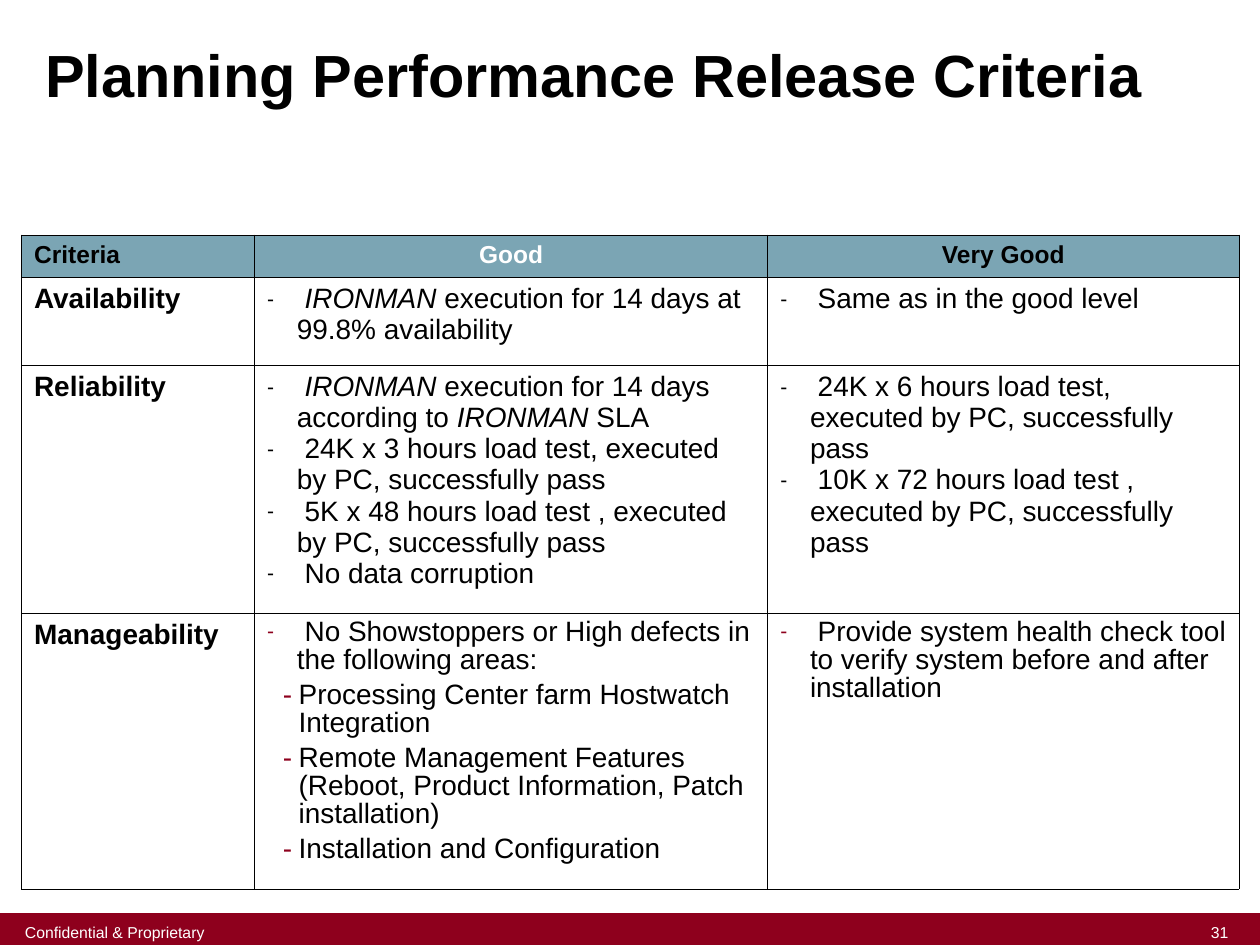
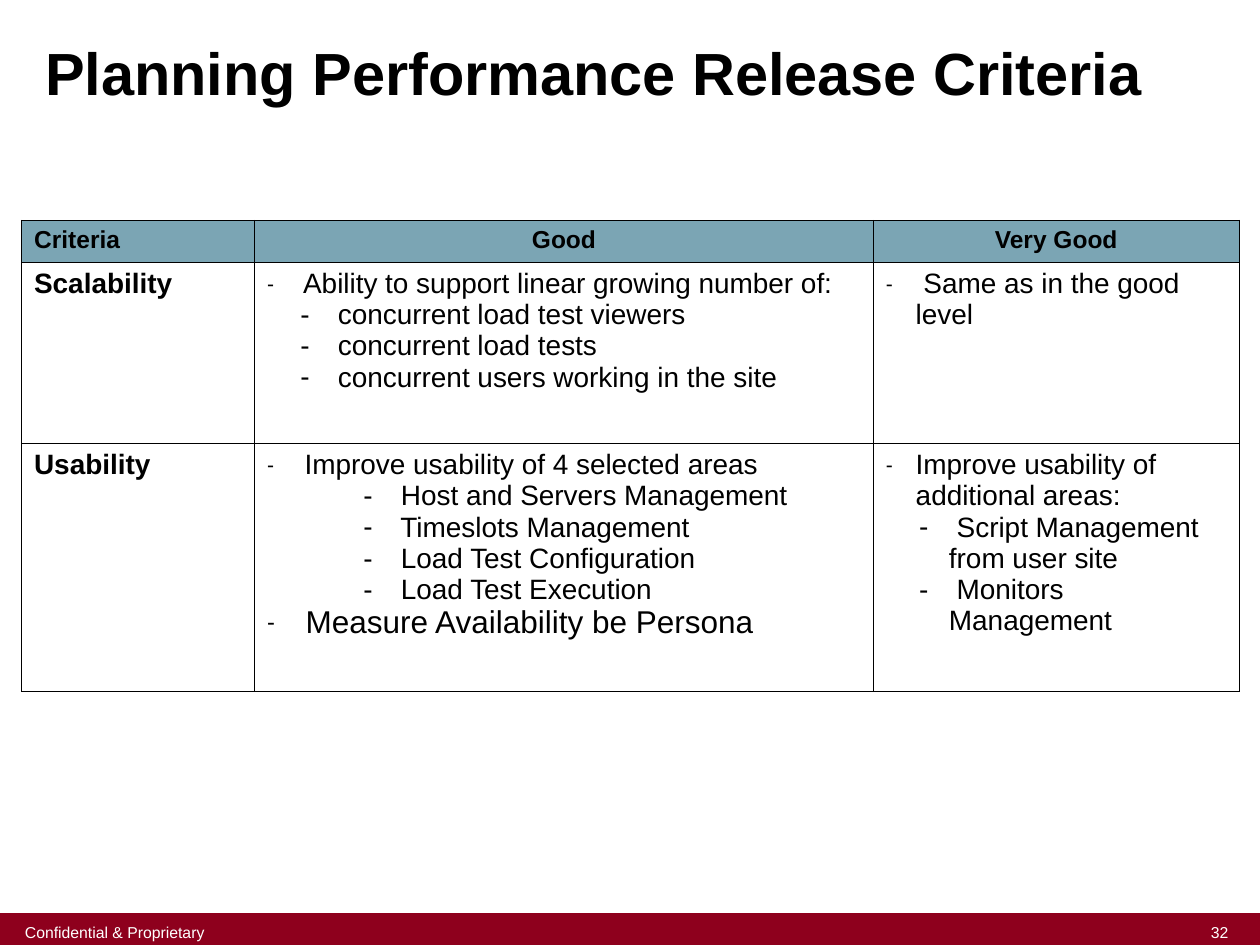
from dataclasses import dataclass

from lxml.etree import SubElement
from pptx import Presentation
from pptx.dml.color import RGBColor
from pptx.enum.shapes import MSO_SHAPE
from pptx.enum.text import MSO_ANCHOR, PP_ALIGN
from pptx.oxml.ns import qn
from pptx.util import Pt

FONT = "Arial"
COLORS = {
    "black": "000000",
    "white": "FFFFFF",
    "maroon": "8E001D",
    "header": "7BA5B4",
}
SLIDE_WIDTH, SLIDE_HEIGHT = 720, 540
BAND_HEIGHT = 18
TITLE = "Planning Performance Release Criteria"
TABLE_LEFT = 12.3
HEADER_HEIGHT = 24


@dataclass(frozen=True)
class BulletStyle:
    margin: float = 17
    hanging: float = 17
    level: int = 0
    percent: int = 75
    color: str = "black"
    size: float = 16
    line_spacing: float = 1.0
    space_before: float = 0


MAIN = BulletStyle()
LARGE = BulletStyle(size=18)
SUB = BulletStyle(margin=36, level=1, percent=100)
DEEP = BulletStyle(margin=72, level=2, percent=100)
TIGHT = BulletStyle(color="maroon", line_spacing=0.9, space_before=4)
TIGHT_SUB = BulletStyle(18, 9, 1, 100, "maroon", 16, 0.9, 4)


def rgb(name):
    return RGBColor.from_string(COLORS[name])


def add_run(paragraph, text, size, color="black", bold=False, italic=False):
    run = paragraph.add_run()
    run.text = text
    font = run.font
    font.name, font.size = FONT, Pt(size)
    font.bold, font.italic = bold, italic
    font.color.rgb = rgb(color)


def set_bullet(paragraph, style):
    properties = paragraph._p.get_or_add_pPr()
    properties.set("marL", str(Pt(style.margin)))
    properties.set("indent", str(-Pt(style.hanging)))
    color = SubElement(properties, qn("a:buClr"))
    SubElement(color, qn("a:srgbClr"), val=COLORS[style.color])
    SubElement(properties, qn("a:buSzPct"), val=str(style.percent * 1000))
    SubElement(properties, qn("a:buFont"), typeface=FONT)
    SubElement(properties, qn("a:buChar"), char="-")


def fill_bullets(cell, bullets):
    """Write (style, text) bullets; text between asterisks is italic."""
    frame = cell.text_frame
    for index, (style, text) in enumerate(bullets):
        paragraph = frame.add_paragraph() if index else frame.paragraphs[0]
        set_bullet(paragraph, style)
        paragraph.level = style.level
        paragraph.line_spacing = style.line_spacing
        if index:
            paragraph.space_before = Pt(style.space_before)
        for position, part in enumerate(text.split("*")):
            if part:
                add_run(paragraph, part, style.size, italic=position % 2 == 1)


def set_borders(cell):
    properties = cell._tc.get_or_add_tcPr()
    for index, side in enumerate(("lnL", "lnR", "lnT", "lnB")):
        line = properties.makeelement(qn(f"a:{side}"), {"w": str(Pt(0.45))})
        fill = SubElement(line, qn("a:solidFill"))
        SubElement(fill, qn("a:srgbClr"), val=COLORS["black"])
        properties.insert(index, line)


def add_title(slide, top):
    title = slide.shapes.title
    title.left, title.top, title.width, title.height = Pt(18.7), Pt(top), Pt(645), Pt(75)
    frame = title.text_frame
    frame.vertical_anchor = MSO_ANCHOR.TOP
    frame.margin_top = 0
    paragraph = frame.paragraphs[0]
    paragraph.alignment = PP_ALIGN.LEFT
    paragraph.line_spacing = 0.9
    add_run(paragraph, TITLE, 34, bold=True)


def add_footer_text(slide, text, left, top, width, alignment):
    box = slide.shapes.add_textbox(Pt(left), Pt(top), Pt(width), Pt(BAND_HEIGHT))
    frame = box.text_frame
    frame.word_wrap = True
    paragraph = frame.paragraphs[0]
    paragraph.alignment = alignment
    add_run(paragraph, text, 9, "white")


def add_footer(slide, number):
    top = SLIDE_HEIGHT - BAND_HEIGHT
    band = slide.shapes.add_shape(
        MSO_SHAPE.RECTANGLE, 0, Pt(top), Pt(SLIDE_WIDTH), Pt(BAND_HEIGHT)
    )
    band.shadow.inherit = False
    band.fill.solid()
    band.fill.fore_color.rgb = rgb("maroon")
    band.line.color.rgb = rgb("maroon")
    band.line.width = Pt(1)
    add_footer_text(slide, str(number), 679.7, top + 2, 34.6, PP_ALIGN.CENTER)
    add_footer_text(slide, "Confidential & Proprietary", 7.2, top + 2, 125, PP_ALIGN.LEFT)


def add_criteria_table(slide, top, widths, heights, rows, good_color):
    """Add a table whose rows are (criterion, good bullets, very good bullets)."""
    heights = [HEADER_HEIGHT, *heights]
    table = slide.shapes.add_table(
        len(heights), len(widths), Pt(TABLE_LEFT), Pt(top), Pt(sum(widths)), Pt(sum(heights))
    ).table
    table.first_row = table.horz_banding = False
    for column, width in zip(table.columns, widths):
        column.width = Pt(width)
    for row, height in zip(table.rows, heights):
        row.height = Pt(height)

    headings = (("Criteria", "black"), ("Good", good_color), ("Very Good", "black"))
    for index, (heading, color) in enumerate(headings):
        cell = table.cell(0, index)
        cell.fill.solid()
        cell.fill.fore_color.rgb = rgb("header")
        paragraph = cell.text_frame.paragraphs[0]
        paragraph.alignment = PP_ALIGN.CENTER if index else PP_ALIGN.LEFT
        add_run(paragraph, heading, 14, color, bold=True)

    for index, (criterion, *levels) in enumerate(rows, 1):
        add_run(table.cell(index, 0).text_frame.paragraphs[0], criterion, 16, bold=True)
        for column, bullets in enumerate(levels, 1):
            fill_bullets(table.cell(index, column), bullets)
        for cell in table.rows[index].cells:
            cell.fill.background()

    for cell in table.iter_cells():
        set_borders(cell)


def add_criteria_slide(presentation, number, title_top, **table):
    slide = presentation.slides.add_slide(presentation.slide_layouts[5])
    add_footer(slide, number)
    add_criteria_table(slide, **table)
    add_title(slide, title_top)


STABILITY_ROWS = [
    (
        "Availability",
        [(MAIN, " *IRONMAN* execution for 14 days at 99.8% availability")],
        [(MAIN, " Same as in the good level")],
    ),
    (
        "Reliability",
        [
            (MAIN, " *IRONMAN* execution for 14 days according to *IRONMAN* SLA"),
            (MAIN, " 24K x 3 hours load test, executed by PC, successfully pass"),
            (MAIN, " 5K x 48 hours load test , executed by PC, successfully pass"),
            (MAIN, " No data corruption"),
        ],
        [
            (MAIN, " 24K x 6 hours load test, executed by PC, successfully pass"),
            (MAIN, " 10K x 72 hours load test , executed by PC, successfully pass"),
        ],
    ),
    (
        "Manageability",
        [
            (TIGHT, " No Showstoppers or High defects in the following areas:"),
            (TIGHT_SUB, "Processing Center farm Hostwatch Integration"),
            (
                TIGHT_SUB,
                "Remote Management Features (Reboot, Product Information, Patch installation)",
            ),
            (TIGHT_SUB, "Installation and Configuration"),
        ],
        [
            (
                TIGHT,
                " Provide system health check tool to verify system before and after installation",
            )
        ],
    ),
]

GROWTH_ROWS = [
    (
        "Scalability",
        [
            (MAIN, " Ability to support linear growing number of:"),
            (SUB, " concurrent load test viewers"),
            (SUB, " concurrent load tests"),
            (SUB, " concurrent users working in the site"),
        ],
        [(MAIN, " Same as in the good level")],
    ),
    (
        "Usability",
        [
            (MAIN, " Improve usability of 4 selected areas"),
            (DEEP, " Host and Servers Management"),
            (DEEP, " Timeslots Management"),
            (DEEP, " Load Test Configuration"),
            (DEEP, " Load Test Execution"),
            (LARGE, " Measure Availability be Persona"),
        ],
        [
            (MAIN, "Improve usability of additional areas:"),
            (SUB, " Script Management from user site"),
            (SUB, " Monitors Management"),
        ],
    ),
]


def main():
    presentation = Presentation()
    presentation.slide_width = Pt(SLIDE_WIDTH)
    presentation.slide_height = Pt(SLIDE_HEIGHT)
    add_criteria_slide(
        presentation, 31, 26.4, top=134.3, widths=[133.2, 293.2, 269.4],
        heights=[50.3, 141.7, 157.7], rows=STABILITY_ROWS, good_color="white",
    )
    add_criteria_slide(
        presentation, 32, 25.2, top=125.8, widths=[133.2, 353.6, 209],
        heights=[103.5, 141.7], rows=GROWTH_ROWS, good_color="black",
    )
    presentation.save("out.pptx")


if __name__ == "__main__":
    main()
